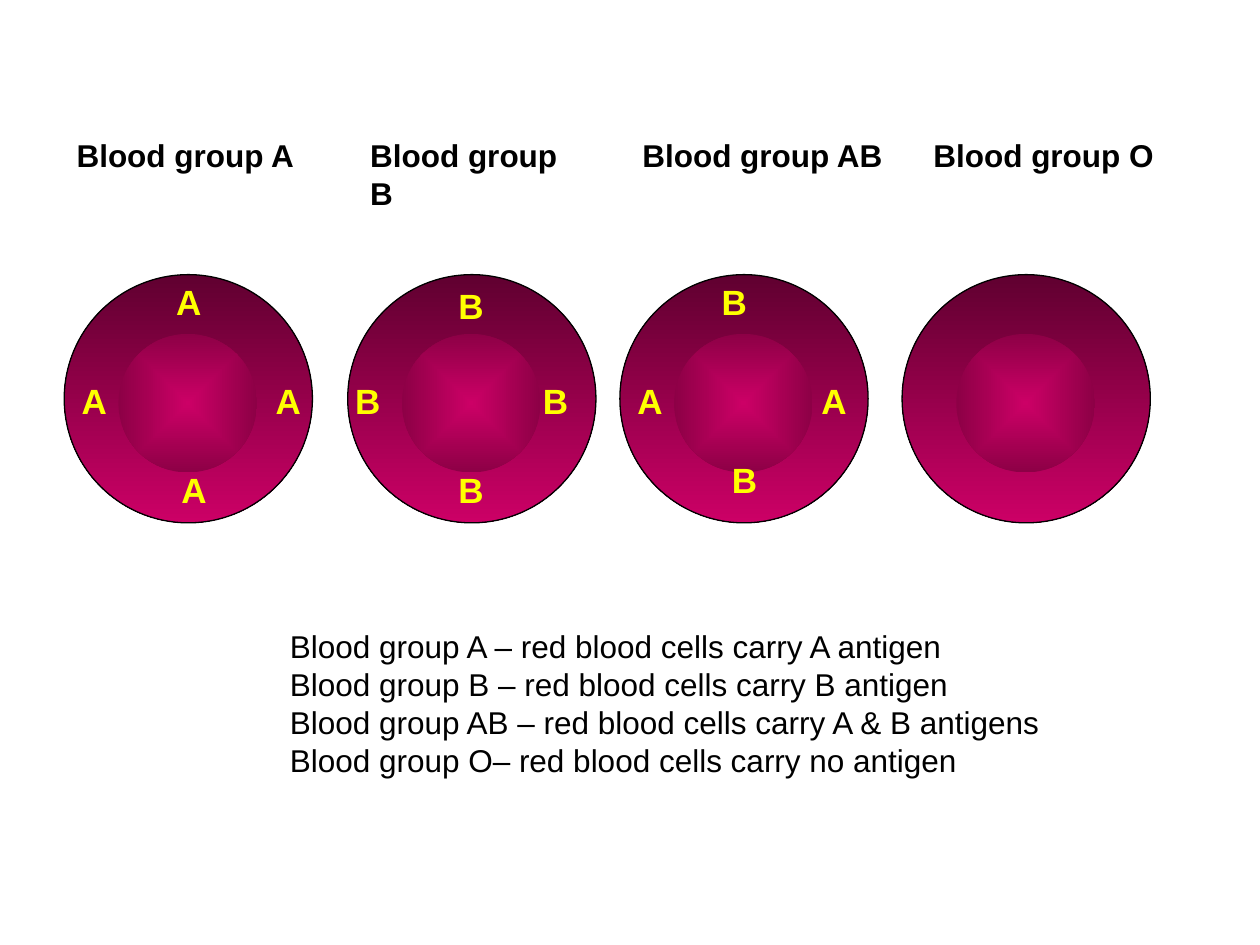
from lxml.etree import SubElement
from pptx import Presentation
from pptx.dml.color import RGBColor
from pptx.enum.shapes import MSO_SHAPE as Preset
from pptx.enum.text import MSO_AUTO_SIZE as AutoSize, PP_ALIGN as Align
from pptx.oxml.ns import qn
from pptx.util import Inches, Pt

# Content: heading and its box (left, width), cell left,
# antigens (letter, left, top, width)
GROUPS = [
    ("Blood group A", 0.51, 1.93, 0.51,
     [("A", 1.3, 2.18, 0.39), ("A", 1.34, 3.67, 0.39),
      ("A", 2.09, 2.96, 0.43), ("A", 0.55, 2.96, 0.32)]),
    ("Blood group B", 2.84, 1.93, 2.76,
     [("B", 2.72, 2.96, 0.43), ("B", 4.21, 2.96, 0.43),
      ("B", 3.54, 3.67, 0.43), ("B", 3.54, 2.21, 0.43)]),
    ("Blood group AB", 5, 2.11, 4.92,
     [("B", 5.63, 2.18, 0.43), ("B", 5.71, 3.59, 0.43),
      ("A", 6.42, 2.96, 0.43), ("A", 4.96, 2.96, 0.43)]),
    ("Blood group O", 7.31, 1.95, 7.16, []),
]
SUMMARY = [
    "Blood group A – red blood cells carry A antigen",
    "Blood group B – red blood cells carry B antigen",
    "Blood group AB – red blood cells carry A & B antigens",
    "Blood group O– red blood cells carry no antigen",
]

BLACK, YELLOW = "000000", "FFFF00"
DARK, MID, BRIGHT = "600030", "8D0046", "CC0066"
CELL_TOP, CELL_SIZE = 2.18, 1.97
CENTRE_SIZE, CENTRE_DX, CENTRE_DY = 1.1, 0.43, 0.47


def colour(hex_string):
    return RGBColor.from_string(hex_string)


def add_disc(shapes, left, top, size, start, end):
    disc = shapes.add_shape(Preset.OVAL, Inches(left), Inches(top),
                            Inches(size), Inches(size))
    disc.shadow.inherit = False
    disc.fill.gradient()
    disc.fill.gradient_angle = 270
    for stop, position, shade in zip(disc.fill.gradient_stops, (0, 1), (start, end)):
        stop.position = position
        stop.color.rgb = colour(shade)
    return disc


def make_radial(disc):
    """Let the gradient spread from the middle instead of downwards."""
    gradient = disc._element.spPr.find(qn("a:gradFill"))
    linear = gradient.find(qn("a:lin"))
    spread = SubElement(gradient, qn("a:path"), {"path": "rect"})
    SubElement(spread, qn("a:fillToRect"), dict.fromkeys("ltrb", "50000"))
    gradient.replace(linear, spread)


def add_cell(shapes, left):
    cell = shapes.add_group_shape().shapes
    body = add_disc(cell, left, CELL_TOP, CELL_SIZE, DARK, BRIGHT)
    body.line.color.rgb = colour(BLACK)
    body.line.width = Pt(0.75)
    centre = add_disc(cell, left + CENTRE_DX, CELL_TOP + CENTRE_DY,
                      CENTRE_SIZE, BRIGHT, MID)
    centre.line.fill.background()
    make_radial(centre)


def add_run(paragraph, text, size, shade, bold):
    run = paragraph.add_run()
    run.text = text
    run.font.name = "Arial"
    run.font.size = Pt(size)
    run.font.bold = bold
    run.font.color.rgb = colour(shade)


def add_label(shapes, text, left, top, width, height, size, shade, wrap):
    label = shapes.add_textbox(Inches(left), Inches(top), Inches(width), Inches(height))
    frame = label.text_frame
    frame.word_wrap = wrap
    frame.auto_size = AutoSize.SHAPE_TO_FIT_TEXT
    add_run(frame.paragraphs[0], text, size, shade, True)


def fill_summary(summary):
    summary.left, summary.top = Inches(2.2), Inches(4.93)
    summary.width, summary.height = Inches(6.46), Inches(1.6)
    frame = summary.text_frame
    frame.word_wrap = True
    frame.auto_size = AutoSize.NONE
    for index, line in enumerate(SUMMARY):
        paragraph = frame.add_paragraph() if index else frame.paragraphs[0]
        properties = paragraph._p.get_or_add_pPr()
        properties.set("marL", "0")
        properties.set("indent", "0")
        SubElement(properties, qn("a:buNone"))
        paragraph.alignment = Align.LEFT
        paragraph.space_before = Pt(0)
        add_run(paragraph, line, 18, BLACK, False)


def main():
    deck = Presentation()
    deck.slide_width, deck.slide_height = Inches(10), Inches(7.5)
    slide = deck.slides.add_slide(deck.slide_layouts[1])
    shapes = slide.shapes
    title = shapes.title._element
    title.getparent().remove(title)

    # Red blood cells
    for _, _, _, cell_left, _ in GROUPS:
        add_cell(shapes, cell_left)

    # Summary list
    fill_summary(slide.placeholders[1])

    # Headings and antigen letters
    for heading, left, width, _, antigens in GROUPS:
        add_label(shapes, heading, left, 1.03, width, 0.4, 18, BLACK, False)
        for letter, x, y, letter_width in antigens:
            add_label(shapes, letter, x, y, letter_width, 0.44, 20, YELLOW, True)

    deck.save("out.pptx")


if __name__ == "__main__":
    main()
